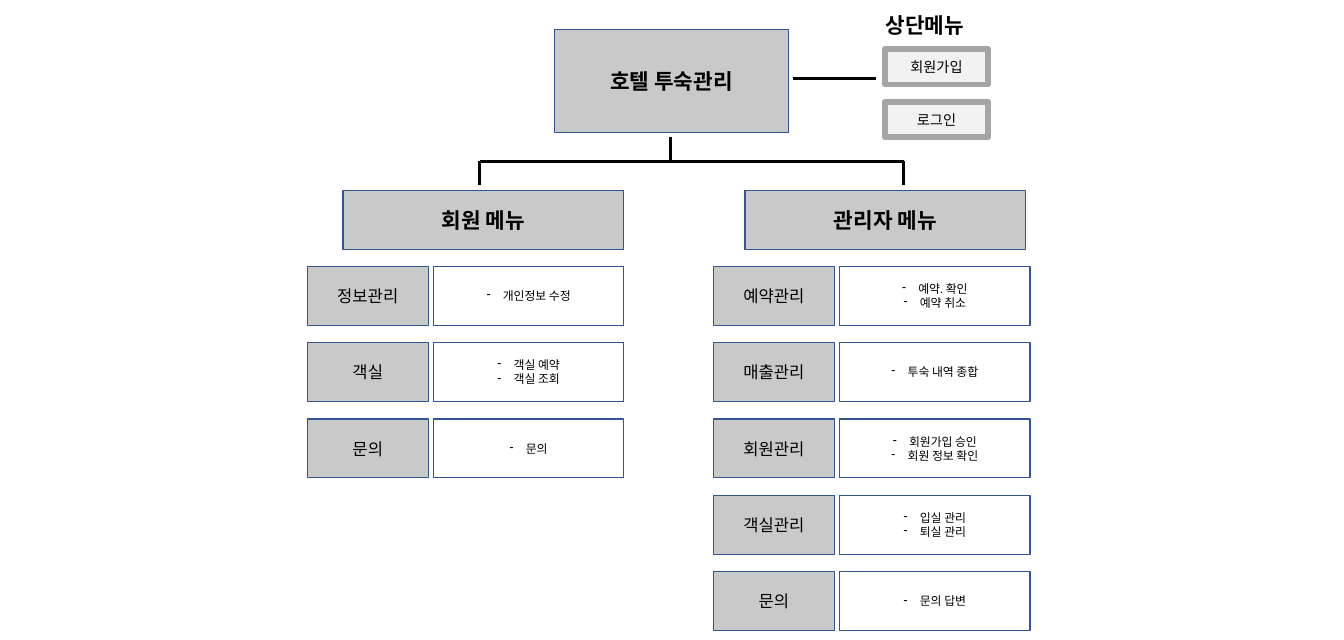
from lxml import etree
from pptx import Presentation
from pptx.dml.color import RGBColor
from pptx.enum.shapes import MSO_CONNECTOR, MSO_SHAPE
from pptx.enum.text import MSO_ANCHOR, MSO_AUTO_SIZE, PP_ALIGN
from pptx.oxml.ns import qn
from pptx.util import Inches, Pt

RECTANGLE = MSO_SHAPE.RECTANGLE
STRAIGHT = MSO_CONNECTOR.STRAIGHT
MIDDLE = MSO_ANCHOR.MIDDLE
CENTER = PP_ALIGN.CENTER
FIT_SHAPE = MSO_AUTO_SIZE.SHAPE_TO_FIT_TEXT

FONT = "Calibri"
COLORS = {
    "text": "000000",
    "connector": "000000",
    "box": "C9C9C9",
    "border": "325491",
    "button": "F2F2F2",
    "button_border": "A5A5A5",
}

SLIDE_WIDTH, SLIDE_HEIGHT = 15.75, 7.5
FIRST_ROW, LAST_ROW, ROW_COUNT = 3.12, 6.7, 5
ROW_STEP = (LAST_ROW - FIRST_ROW) / (ROW_COUNT - 1)
ROW_HEIGHT = 0.69
LABEL_WIDTH, DETAIL_WIDTH, DETAIL_OFFSET = 1.42, 2.23, 1.48
HEADER_TOP, HEADER_WIDTH = 2.23, 3.29
BUTTON_LEFT, BUTTON_TOP, BUTTON_STEP = 10.37, 0.57, 0.62
BUTTON_WIDTH, BUTTON_HEIGHT = 1.21, 0.42
TRUNK_X, TRUNK_TOP = 7.86, 1.6
BRANCH_Y, BRANCH_BOTTOM = 1.89, 2.17
BRANCH_XS = (5.62, 10.59)
BULLET_INDENT = 0.19

MENUS = [
    ("회원 메뉴", 4.02, 3.6, [
        ("정보관리", ["개인정보 수정"]),
        ("객실", ["객실 예약", "객실 조회"]),
        ("문의", ["문의"]),
    ]),
    ("관리자 메뉴", 8.73, 8.36, [
        ("예약관리", ["예약. 확인", "예약 취소"]),
        ("매출관리", ["투숙 내역 종합"]),
        ("회원관리", ["회원가입 승인", "회원 정보 확인"]),
        ("객실관리", ["입실 관리", "퇴실 관리"]),
        ("문의", ["문의 답변"]),
    ]),
]


def color(name):
    return RGBColor.from_string(COLORS[name])


def format_paragraph(paragraph, size, bold=False):
    for run in paragraph.runs:
        run.font.name = FONT
        run.font.size = Pt(size)
        run.font.bold = bold
        run.font.color.rgb = color("text")


def add_dash(paragraph):
    properties = paragraph._p.get_or_add_pPr()
    properties.set("marL", str(Inches(BULLET_INDENT)))
    properties.set("indent", str(-Inches(BULLET_INDENT)))
    etree.SubElement(properties, qn("a:buChar")).set("char", "-")


def add_box(slide, bounds, lines, size, bold=False, fill="box",
            border="border", border_width=1, dashed=False):
    shape = slide.shapes.add_shape(RECTANGLE, *map(Inches, bounds))
    shape.shadow.inherit = False
    if fill:
        shape.fill.solid()
        shape.fill.fore_color.rgb = color(fill)
    else:
        shape.fill.background()
    shape.line.color.rgb = color(border)
    shape.line.width = Pt(border_width)
    text_frame = shape.text_frame
    text_frame.vertical_anchor = MIDDLE
    text_frame.text = "\n".join(lines)
    for paragraph in text_frame.paragraphs:
        paragraph.alignment = CENTER
        format_paragraph(paragraph, size, bold)
        if dashed:
            add_dash(paragraph)


def add_line(slide, start, end):
    connector = slide.shapes.add_connector(STRAIGHT, *map(Inches, start + end))
    connector.line.color.rgb = color("connector")
    connector.line.width = Pt(2.5)
    etree.SubElement(connector._element.spPr, qn("a:effectLst"))


def add_title(slide, bounds, text):
    shape = slide.shapes.add_textbox(*map(Inches, bounds))
    text_frame = shape.text_frame
    text_frame.word_wrap = False
    text_frame.auto_size = FIT_SHAPE
    text_frame.text = text
    format_paragraph(text_frame.paragraphs[0], 18, True)


def add_top_menu(slide):
    add_title(slide, (10.28, 0.09, 1.21, 0.4), "상단메뉴")
    for index, label in enumerate(("회원가입", "로그인")):
        top = BUTTON_TOP + index * BUTTON_STEP
        add_box(slide, (BUTTON_LEFT, top, BUTTON_WIDTH, BUTTON_HEIGHT), [label], 12,
                fill="button", border="button_border", border_width=5)


def add_branches(slide):
    left, right = BRANCH_XS
    add_line(slide, (9.29, 0.92), (10.27, 0.92))
    add_line(slide, (TRUNK_X, TRUNK_TOP), (TRUNK_X, BRANCH_Y))
    add_line(slide, (left, BRANCH_Y), (right, BRANCH_Y))
    for x in BRANCH_XS:
        add_line(slide, (x, BRANCH_Y), (x, BRANCH_BOTTOM))


def add_menu(slide, title, header_left, label_left, rows):
    add_box(slide, (header_left, HEADER_TOP, HEADER_WIDTH, ROW_HEIGHT), [title], 18, True)
    for index, (label, details) in enumerate(rows):
        top = FIRST_ROW + index * ROW_STEP
        add_box(slide, (label_left, top, LABEL_WIDTH, ROW_HEIGHT), [label], 14)
        add_box(slide, (label_left + DETAIL_OFFSET, top, DETAIL_WIDTH, ROW_HEIGHT),
                details, 10, fill=None, dashed=True)


def main():
    presentation = Presentation()
    presentation.slide_width = Inches(SLIDE_WIDTH)
    presentation.slide_height = Inches(SLIDE_HEIGHT)
    slide = presentation.slides.add_slide(presentation.slide_layouts[6])
    add_box(slide, (6.5, 0.35, 2.74, 1.2), ["호텔 투숙관리"], 18, True)
    add_top_menu(slide)
    add_branches(slide)
    for menu in MENUS:
        add_menu(slide, *menu)
    presentation.save("out.pptx")


main()
